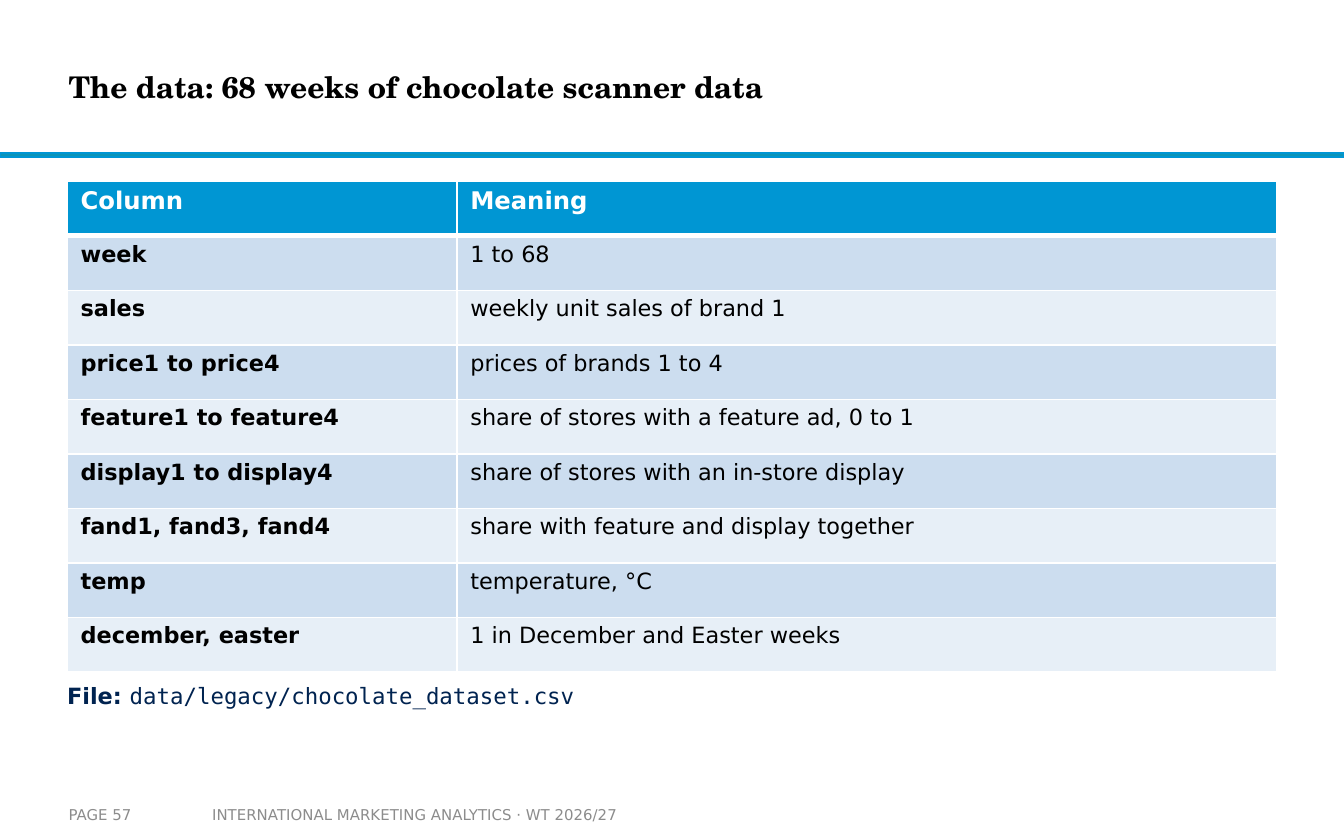
from lxml import etree
from pptx import Presentation
from pptx import util as u
from pptx.dml.color import RGBColor
from pptx.enum import shapes, text
from pptx.oxml import ns

WHITE = RGBColor(0xFF, 0xFF, 0xFF)
BLACK = RGBColor(0, 0, 0)
BLUE = RGBColor(0x00, 0x96, 0xD3)
TEAL = RGBColor(0x0C, 0x94, 0xB7)
NAVY = RGBColor(0x00, 0x23, 0x50)
GREY = RGBColor(0x8C, 0x8C, 0x8C)
BANDS = (RGBColor(0xCC, 0xDD, 0xEF), RGBColor(0xE7, 0xEF, 0xF7))

SANS, MONO, SERIF = "DejaVu Sans", "DejaVu Sans Mono", "TeX Gyre Schola"
TITLE = dict(name=SERIF, size=u.Pt(16), bold=True, color=BLACK)
HEADER = dict(name=SANS, size=u.Pt(13), bold=True, color=WHITE)
BODY = dict(name=SANS, size=u.Pt(12), bold=False, color=BLACK)
FOOTER = dict(name=SANS, size=u.Pt(8), bold=False, color=GREY)
LABEL = dict(BODY, bold=True, color=NAVY)
CODE = dict(BODY, name=MONO, color=NAVY)

ROWS = (
    ("Column", "Meaning"),
    ("week", "1 to 68"),
    ("sales", "weekly unit sales of brand 1"),
    ("price1 to price4", "prices of brands 1 to 4"),
    ("feature1 to feature4", "share of stores with a feature ad, 0 to 1"),
    ("display1 to display4", "share of stores with an in-store display"),
    ("fand1, fand3, fand4", "share with feature and display together"),
    ("temp", "temperature, °C"),
    ("december, easter", "1 in December and Easter weeks"),
)


def add_run(p, words, style):
    """Append a run in the given style."""
    r = p.add_run()
    r.text = words
    for key, value in style.items():
        if key == "color":
            r.font.color.rgb = value
        else:
            setattr(r.font, key, value)


def fill_frame(sp, runs, side=0, edge=0):
    """Write styled runs into a left-aligned, vertically centred frame."""
    tf = sp.text_frame
    layout = dict(
        word_wrap=True,
        auto_size=text.MSO_AUTO_SIZE.NONE,
        vertical_anchor=text.MSO_ANCHOR.MIDDLE,
        margin_left=u.Inches(side),
        margin_right=u.Inches(side),
        margin_top=u.Inches(edge),
        margin_bottom=u.Inches(edge),
    )
    for key, value in layout.items():
        setattr(tf, key, value)
    p = tf.paragraphs[0]
    p.alignment = text.PP_ALIGN.LEFT
    for words, style in runs:
        add_run(p, words, style)
    return p


def add_title(s, words, box):
    """Place and fill the title placeholder."""
    sp = s.shapes.title
    sp.left, sp.top, sp.width, sp.height = map(u.Inches, box)
    fill_frame(sp, [(words, TITLE)])


def add_text(s, box, runs, side=0, edge=0):
    """Add a text box and return its paragraph."""
    return fill_frame(s.shapes.add_textbox(*map(u.Inches, box)), runs, side, edge)


def add_rule(s):
    """Add the full-width bar below the title."""
    box = map(u.Inches, (0, 1.14, 10, 0.03))
    sp = s.shapes.add_shape(shapes.MSO_SHAPE.RECTANGLE, *box)
    sp.shadow.inherit = False
    sp.fill.solid()
    sp.fill.fore_color.rgb = TEAL
    sp.line.color.rgb = BLUE
    sp.line.width = u.Pt(1)


def set_borders(cell, widths):
    """Draw white cell borders with widths in points by side."""
    tc_pr = cell._tc.get_or_add_tcPr()
    for side, width in widths.items():
        ln = etree.SubElement(tc_pr, ns.qn(f"a:ln{side}"), w=str(u.Pt(width)))
        fill = etree.SubElement(ln, ns.qn("a:solidFill"))
        etree.SubElement(fill, ns.qn("a:srgbClr"), val=str(WHITE))


def add_data_table(s):
    """Add the table of data columns and their meanings."""
    box = map(u.Inches, (0.5, 1.35, 9, 3.65))
    table = s.shapes.add_table(len(ROWS), 2, *box).table
    for column, width in zip(table.columns, (2.9, 6.1)):
        column.width = u.Inches(width)
    for i, row in enumerate(ROWS):
        for j, words in enumerate(row):
            cell = table.cell(i, j)
            cell.margin_top = cell.margin_bottom = u.Inches(0.04)
            top, bottom = (3 if i == 1 else 1), (3 if i == 0 else 1)
            set_borders(cell, dict(L=1, R=1, T=top, B=bottom))
            cell.fill.solid()
            cell.fill.fore_color.rgb = BANDS[(i - 1) % 2] if i else BLUE
            style = dict(BODY, bold=j == 0) if i else HEADER
            add_run(cell.text_frame.paragraphs[0], words, style)


def main():
    """Build and save the slide."""
    prs = Presentation()
    prs.slide_width, prs.slide_height = u.Inches(10), u.Inches(6.25)
    s = prs.slides.add_slide(prs.slide_layouts[5])
    add_rule(s)
    add_title(s, "The data: 68 weeks of chocolate scanner data", (0.51, 0.15, 7.48, 0.99))
    add_data_table(s)
    p = add_text(s, (0.5, 5, 9, 0.35),
                 [("File: ", LABEL), ("data/legacy/chocolate_dataset.csv", CODE)])
    p.space_after = u.Pt(4)
    add_text(s, (0.51, 5.92, 0.98, 0.28), [("PAGE 57", FOOTER)], edge=0.05)
    add_text(s, (1.48, 5.92, 3.52, 0.28),
             [("INTERNATIONAL MARKETING ANALYTICS · WT 2026/27", FOOTER)], 0.1, 0.05)
    prs.save("out.pptx")


if __name__ == "__main__":
    main()
